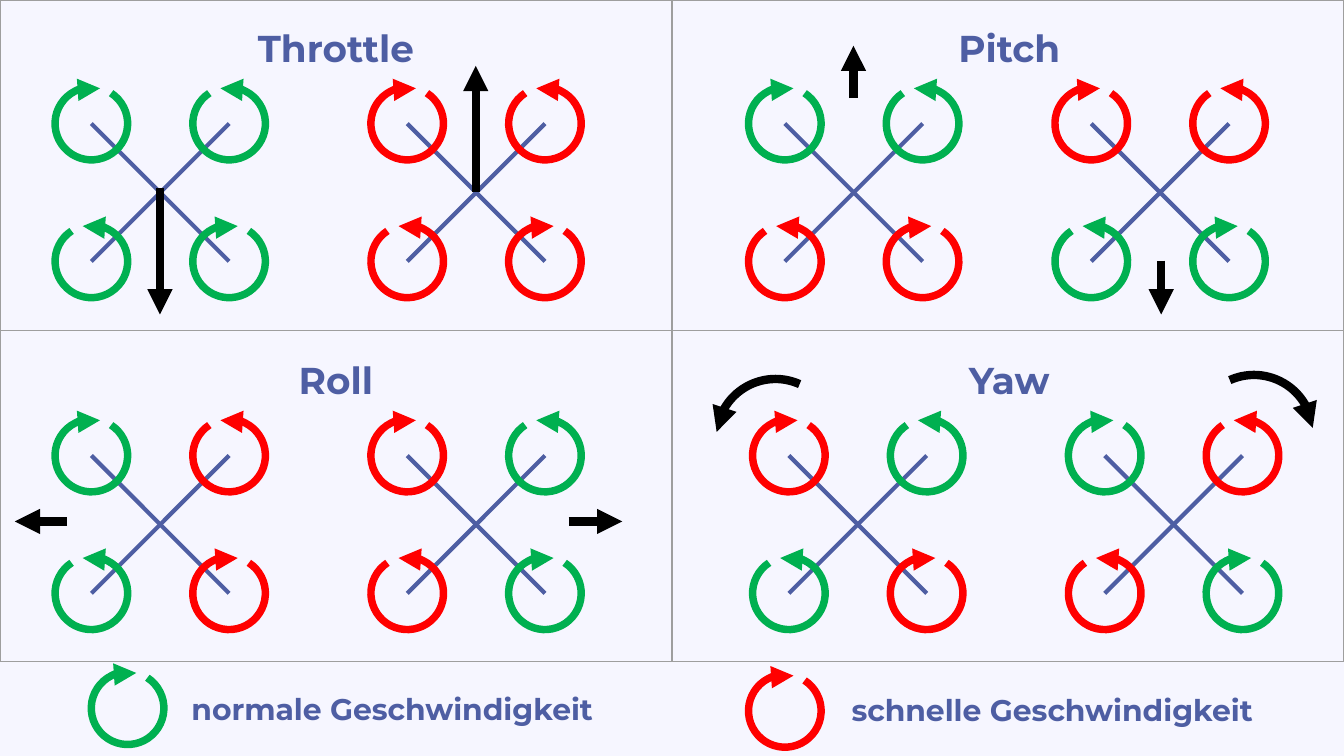
from dataclasses import dataclass

from pptx import Presentation
from pptx import util as u
from pptx.dml.color import RGBColor
from pptx.enum import shapes, text
from pptx.oxml.ns import qn
from lxml import etree

PX = 914400 // 200


@dataclass(frozen=True)
class Theme:
    """Colours, type sizes and line widths of the slide."""
    background: str = "F6F6FF"
    accent: str = "4E5EA3"
    normal: str = "00B050"
    fast: str = "FF0000"
    motion: str = "000000"
    grid: str = "9E9E9E"
    font: str = "Montserrat"
    heading: int = 20
    legend: int = 16
    grid_line: float = 0.75
    arm_line: float = 2.25
    rotor_line: float = 4
    motion_line: float = 4.5


THEME = Theme()
SPEEDS = {"N": THEME.normal, "F": THEME.fast}
ROTOR = 108
ARM = 205
ROTOR_ARC = (162, 150.466)
TURN_ARC = (39.531, 104.374)

HEADINGS = [("Throttle", 0, 28), ("Pitch", 1002, 28),
            ("Roll", 0, 522), ("Yaw", 1002, 522)]
DRONES = [(82, 130, "NNNN"), (552, 130, "FFFF"),
          (1114, 130, "NNFF"), (1570, 130, "FFNN"),
          (82, 624, "NFNF"), (552, 624, "FNFN"),
          (1120, 624, "FNNF"), (1590, 624, "NFFN")]
MOTIONS = [(238, 280, 238, 468), (708, 286, 708, 98),
           (1270, 146, 1270, 68), (1728, 388, 1728, 468),
           (846, 776, 926, 776), (100, 776, 22, 776)]
TURNS = [(1066, 564, False), (1778, 558, True)]
LEGEND = [("normale Geschwindigkeit", "N", 136, 1000, 256, 1018),
          ("schnelle Geschwindigkeit", "F", 1114, 1004, 1238, 1020)]


def px(*lengths):
    """Turn px lengths into EMU."""
    return [u.Emu(length * PX) for length in lengths]


def style_line(line, color, width, arrow=False):
    """Set colour and width of a line, with an optional arrowhead at its end."""
    line.color.rgb = RGBColor.from_string(color)
    line.width = u.Pt(width)
    if arrow:
        etree.SubElement(line._get_or_add_ln(), qn("a:tailEnd"), type="triangle")


def add_line(parent, points, color, width, arrow=False):
    """Add a straight connector without shadow."""
    line = parent.add_connector(shapes.MSO_CONNECTOR.STRAIGHT, *px(*points))
    style_line(line.line, color, width, arrow)
    etree.SubElement(line._element.spPr, qn("a:effectLst"))


def add_arc(parent, left, top, size, angles, color, width, rotation=0, flips=()):
    """Add an open arc that ends in an arrowhead."""
    arc = parent.add_shape(shapes.MSO_SHAPE.ARC, *px(left, top, size, size))
    arc.adjustments[0], arc.adjustments[1] = angles
    arc.rotation = rotation
    for flip in flips:
        arc._element.spPr.xfrm.set(flip, "1")
    arc.shadow.inherit = False
    arc.fill.background()
    style_line(arc.line, color, width, arrow=True)


def add_rotor(parent, left, top, speed, clockwise=True):
    """Add one rotor, coloured by speed and turning either way."""
    add_arc(parent, left, top, ROTOR, ROTOR_ARC, SPEEDS[speed], THEME.rotor_line,
            33 if clockwise else 327, () if clockwise else ("flipH",))


def add_drone(page, left, top, speeds):
    """Add a drone; speeds run row by row from the top left rotor."""
    drone = page.shapes.add_group_shape().shapes
    x, y = left + ROTOR // 2, top + ROTOR // 2
    for start, end in ((x + ARM, x), (x, x + ARM)):
        add_line(drone, (start, y, end, y + ARM), THEME.accent, THEME.arm_line)
    for index, speed in enumerate(speeds):
        row, column = divmod(index, 2)
        add_rotor(drone, left + column * ARM, top + row * ARM, speed, row == column)


def add_label(page, words, left, top, width, height, size):
    """Add a centred bold label."""
    box = page.shapes.add_textbox(*px(left, top, width, height))
    frame = box.text_frame
    frame.text = words
    frame.word_wrap = True
    frame.auto_size = text.MSO_AUTO_SIZE.SHAPE_TO_FIT_TEXT
    para = frame.paragraphs[0]
    para.alignment = text.PP_ALIGN.CENTER
    font = para.runs[0].font
    font.name, font.size, font.bold = THEME.font, u.Pt(size), True
    font.color.rgb = RGBColor.from_string(THEME.accent)


def add_border(cell):
    """Draw all four borders of a table cell."""
    properties = cell._tc.get_or_add_tcPr()
    for side in ("a:lnL", "a:lnR", "a:lnT", "a:lnB"):
        border = etree.SubElement(properties, qn(side), w=str(u.Pt(THEME.grid_line)))
        fill = etree.SubElement(border, qn("a:solidFill"))
        etree.SubElement(fill, qn("a:srgbClr"), val=THEME.grid)


def add_grid(page):
    """Add the two by two table that frames the manoeuvres."""
    table = page.shapes.add_table(2, 2, *px(0, 0, 2000, 984)).table
    table.first_row = table.horz_banding = False
    for cell in table.iter_cells():
        add_border(cell)
        cell.fill.background()


def main():
    """Build the slide on drone manoeuvres."""
    deck = Presentation()
    deck.slide_width, deck.slide_height = px(2000, 1125)
    page = deck.slides.add_slide(deck.slide_layouts[6])
    page.background.fill.solid()
    page.background.fill.fore_color.rgb = RGBColor.from_string(THEME.background)

    add_grid(page)
    for words, left, top in HEADINGS:
        add_label(page, words, left, top, 1000, 88, THEME.heading)
    for drone in DRONES:
        add_drone(page, *drone)
    for points in MOTIONS:
        add_line(page.shapes, points, THEME.motion, THEME.motion_line, arrow=True)
    for left, top, clockwise in TURNS:
        add_arc(page.shapes, left, top, 176, TURN_ARC, THEME.motion, THEME.motion_line,
                flips=("flipH", "flipV") if clockwise else ("flipV",))
    for words, speed, left, top, label_left, label_top in LEGEND:
        add_rotor(page.shapes, left, top, speed)
        add_label(page, words, label_left, label_top, 656, 74, THEME.legend)
    deck.save("out.pptx")


if __name__ == "__main__":
    main()
